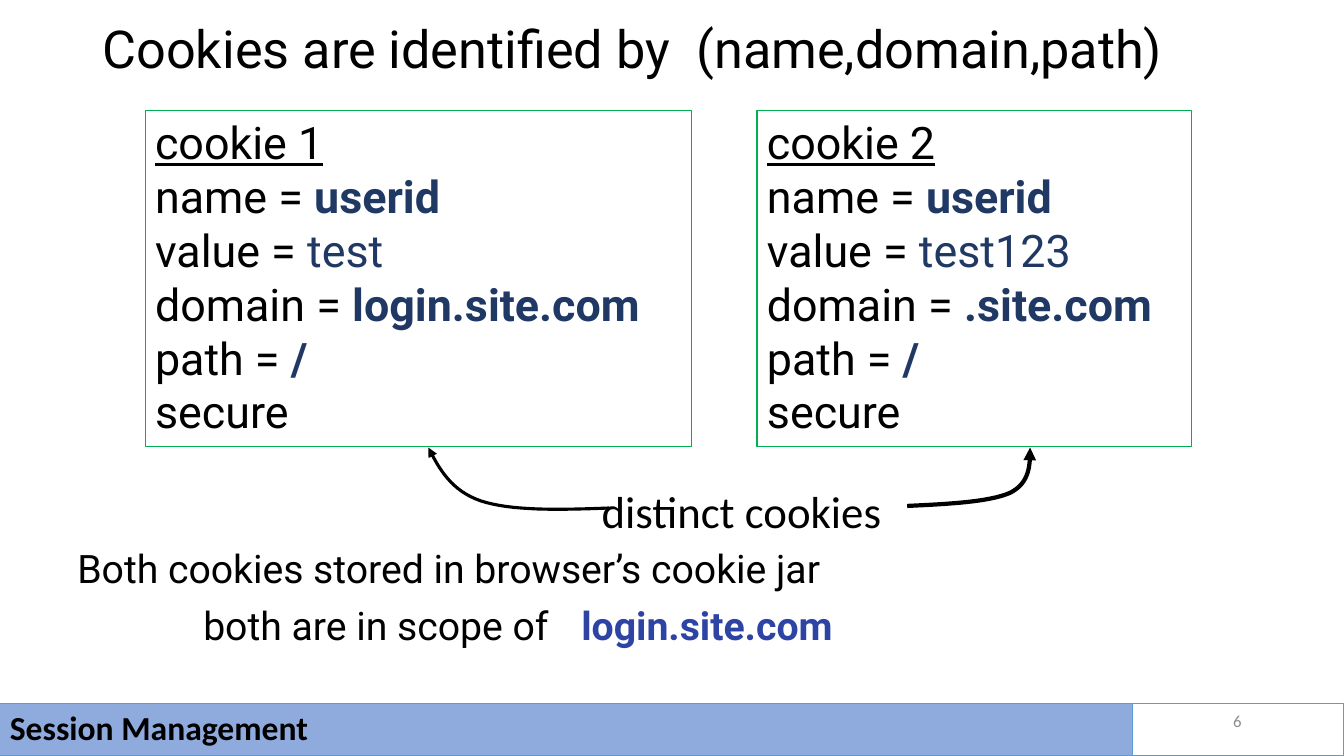
"""Build the slide on how cookies are told apart by name, domain and path."""
from dataclasses import dataclass

from lxml.etree import SubElement
from pptx import Presentation
from pptx.dml.color import RGBColor
from pptx.enum.shapes import MSO_SHAPE
from pptx.enum.text import MSO_ANCHOR, MSO_AUTO_SIZE, PP_ALIGN
from pptx.oxml.ns import qn
from pptx.util import Pt


@dataclass(frozen=True)
class Theme:
    head: str = "Roboto"
    plain: str = "Calibri"
    ink: str = "000000"
    navy: str = "203864"
    blue: str = "2D44A4"
    green: str = "00B050"
    band: str = "8FAADC"
    edge: str = "5B9BD5"
    gray: str = "8C8C8C"
    title: float = 37.3
    large: float = 32
    body: float = 28
    foot: float = 24
    small: float = 12


theme = Theme()


def write(para, text, size, font=theme.head, color=theme.ink, bold=False):
    run = para.add_run()
    run.text = text
    run.font.size = Pt(size)
    run.font.name = font
    run.font.bold = bold
    run.font.color.rgb = RGBColor.from_string(color)
    return run


def frame(left, top, width, height, edge, fill=None):
    rect = slide.shapes.add_shape(
        MSO_SHAPE.RECTANGLE, Pt(left), Pt(top), Pt(width), Pt(height))
    rect.shadow.inherit = False
    rect.line.color.rgb = RGBColor.from_string(edge)
    rect.line.width = Pt(0.75)
    if fill:
        rect.fill.solid()
        rect.fill.fore_color.rgb = RGBColor.from_string(fill)
    else:
        rect.fill.background()
    return rect


deck = Presentation()
deck.slide_width, deck.slide_height = Pt(960), Pt(540)
slide = deck.slides.add_slide(deck.slide_layouts[1])

title = slide.shapes.title
title.left, title.top, title.width, title.height = Pt(66), Pt(4.3), Pt(828), Pt(65)
title.text_frame.auto_size = MSO_AUTO_SIZE.NONE
title.text_frame.vertical_anchor = MSO_ANCHOR.MIDDLE
para = title.text_frame.paragraphs[0]
para.alignment = PP_ALIGN.LEFT
para.line_spacing = 0.9
write(para, "Cookies are identified by", theme.title)
gap = write(para, " ", theme.title)
gap.font._element.set("spc", "920")
write(para, "(name,domain,path)", theme.title)

body = slide.placeholders[1]
body.left, body.top, body.width, body.height = Pt(48), Pt(388.8), Pt(816), Pt(84)
body.text_frame.auto_size = MSO_AUTO_SIZE.NONE
first = body.text_frame.paragraphs[0]
second = body.text_frame.add_paragraph()
for para, indent, before in ((first, 0, 10), (second, 90, 10.7)):
    para.line_spacing = 0.9
    para.space_before = Pt(before)
    props = para._p.get_or_add_pPr()
    props.set("marL", "0")
    props.set("indent", str(Pt(indent)))
    SubElement(props, qn("a:buNone"))
stops = SubElement(second._p.pPr, qn("a:tabLst"))
SubElement(stops, qn("a:tab"), pos=str(Pt(364)), algn="l")
write(first, "Both cookies stored in browser’s cookie jar", theme.body)
write(second, "both are in scope of\t", theme.body)
write(second, "login.site.com", theme.body, color=theme.blue, bold=True)

cookies = (
    ("cookie 1", 103.7, 390.5, "test", "login.site.com"),
    ("cookie 2", 540.7, 310.3, "test123", ".site.com"),
)
for name, left, width, value, domain in cookies:
    card = frame(left, 78.7, width, 240, theme.green).text_frame
    card.word_wrap = True
    card.vertical_anchor = MSO_ANCHOR.TOP
    rows = (
        (name, ""), ("name = ", "userid"), ("value = ", value),
        ("domain = ", domain), ("path = ", "/"), ("secure", ""),
    )
    for num, (label, entry) in enumerate(rows):
        para = card.add_paragraph() if num else card.paragraphs[0]
        para.alignment = PP_ALIGN.LEFT
        run = write(para, label, theme.large)
        run.font.underline = num == 0
        if entry:
            write(para, entry, theme.large, color=theme.navy, bold=entry != value)

note = slide.shapes.add_textbox(Pt(422.6), Pt(342), Pt(216.7), Pt(46)).text_frame
note.word_wrap = False
note.auto_size = MSO_AUTO_SIZE.SHAPE_TO_FIT_TEXT
write(note.paragraphs[0], "distinct cookies", theme.large, theme.plain)

arrows = (
    (2.25, ((434.9, 362.9), (399.6, 364.3), (365, 365), (343.4, 357.8),
            (322.6, 350.6), (313.9, 335.5), (306, 319.7))),
    (3, ((648, 361.4), (677.5, 360), (706.3, 358.6), (721.4, 352.1),
         (735.8, 344.9), (735.8, 331.9), (735.8, 319.7))),
)
steps = 16
for weight, knots in arrows:
    points = []
    for start in (0, 3):
        curve = knots[start:start + 4]
        for step in range(1, steps + 1):
            t = step / steps
            parts = ((1 - t) ** 3, 3 * t * (1 - t) ** 2, 3 * t * t * (1 - t), t ** 3)
            points.append(tuple(
                Pt(sum(part * knot[axis] for part, knot in zip(parts, curve)))
                for axis in (0, 1)))
    pen = slide.shapes.build_freeform(Pt(knots[0][0]), Pt(knots[0][1]))
    pen.add_line_segments(points, close=False)
    arrow = pen.convert_to_shape()
    arrow.shadow.inherit = False
    arrow.fill.background()
    arrow.line.color.rgb = RGBColor.from_string(theme.ink)
    arrow.line.width = Pt(weight)
    SubElement(arrow.line._get_or_add_ln(), qn("a:tailEnd"), type="triangle")

band = frame(0, 502.4, 809, 37.6, theme.edge, theme.band).text_frame
band.vertical_anchor = MSO_ANCHOR.MIDDLE
para = band.paragraphs[0]
para.alignment = PP_ALIGN.LEFT
para.line_spacing = 0.9
write(para, "Session Management", theme.foot, theme.plain, bold=True)
frame(809, 502.4, 151, 37.6, theme.edge)

page = slide.shapes.add_textbox(Pt(678), Pt(500.6), Pt(216), Pt(28.8)).text_frame
page.word_wrap = True
page.vertical_anchor = MSO_ANCHOR.MIDDLE
para = page.paragraphs[0]
para.alignment = PP_ALIGN.RIGHT
write(para, "6", theme.small, theme.plain, theme.gray)

deck.save("out.pptx")
